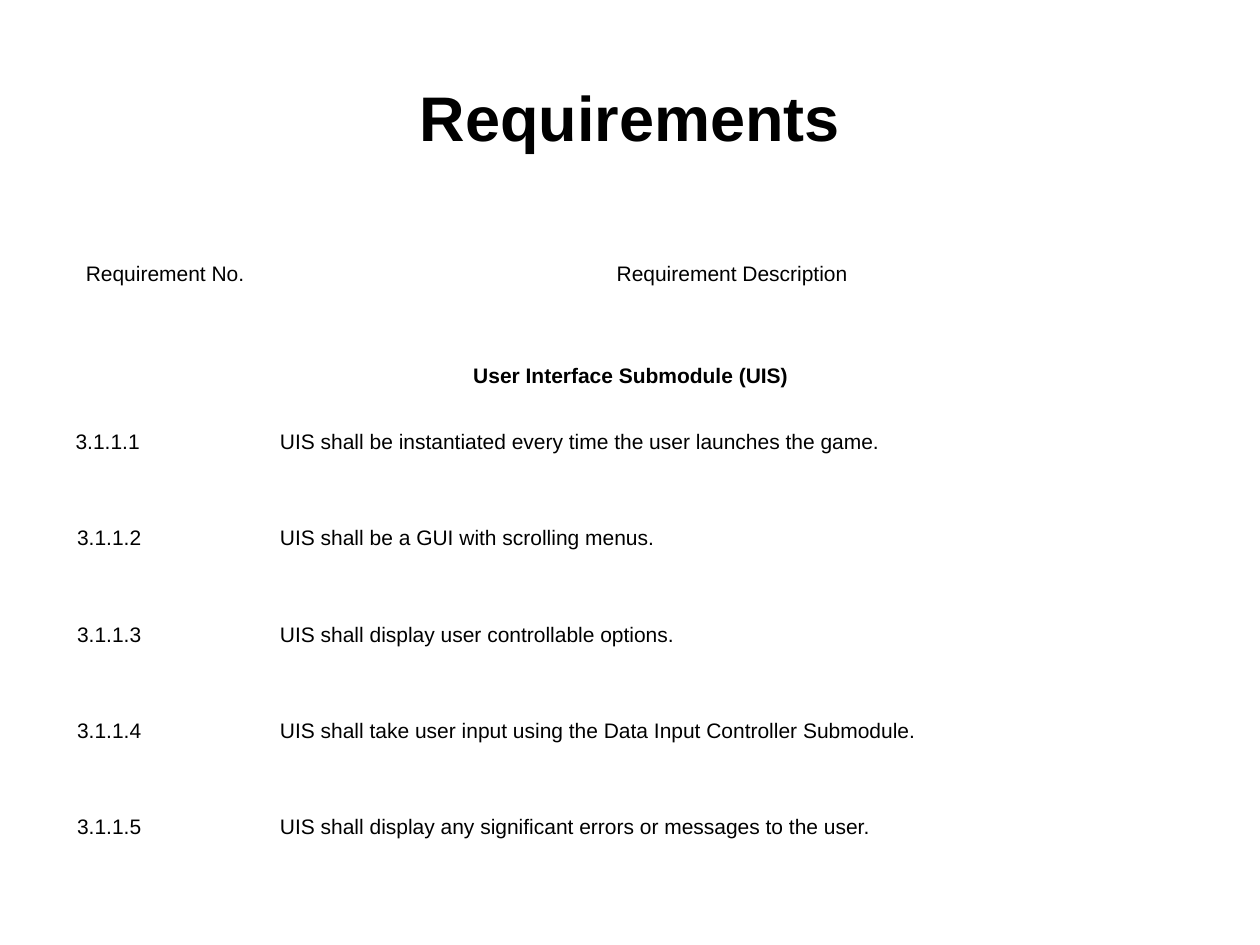
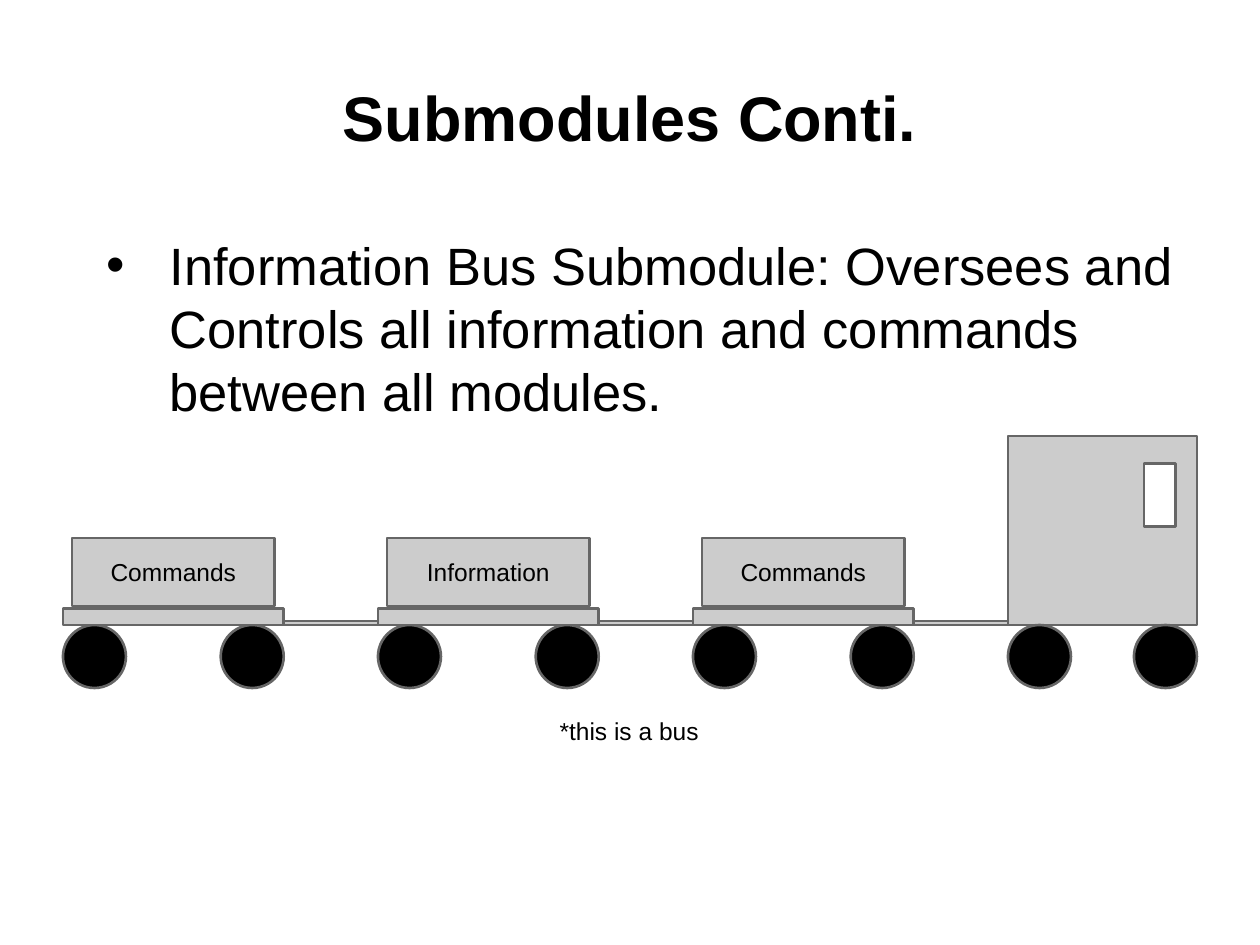
"""Build two slides: a requirements table and a bus drawn as a train of cars."""
import lxml.etree
import pptx
import pptx.dml.color
import pptx.enum.shapes
import pptx.enum.text
import pptx.oxml.ns
import pptx.util

Cm, Pt = pptx.util.Cm, pptx.util.Pt
ALIGN = pptx.enum.text.PP_ALIGN
ANCHOR = pptx.enum.text.MSO_ANCHOR
SHAPE = pptx.enum.shapes.MSO_SHAPE

REQUIREMENTS_TITLE = "Requirements"
HEADINGS = ("Requirement No.", "Requirement Description")
SECTION = "User Interface Submodule (UIS)"
REQUIREMENTS = [
    ("3.1.1.1", "UIS shall be instantiated every time the user launches the game."),
    ("3.1.1.2", "UIS shall be a GUI with scrolling menus."),
    ("3.1.1.3", "UIS shall display user controllable options."),
    ("3.1.1.4", "UIS shall take user input using the Data Input Controller Submodule."),
    ("3.1.1.5", "UIS shall display any significant errors or messages to the user."),
]
SUBMODULES_TITLE = "Submodules Conti."
DESCRIPTION = ("Information Bus Submodule: Oversees and Controls all information "
               "and commands between all modules.")
LOADS = ("Commands", "Information", "Commands")
CAPTION = "*this is a bus"

FONT = "Arial"
BLACK, WHITE, GREY, OUTLINE = "000000", "FFFFFF", "CCCCCC", "666666"
MARGIN, CONTENT_WIDTH = 1.27, 22.86
TITLE_AREA = (MARGIN, 0.76, CONTENT_WIDTH, 3.18)
BODY_AREA = (MARGIN, 4.45, CONTENT_WIDTH, 13.79)
COLUMN_WIDTHS = (4.09, 18.77)
HEADER_HEIGHT, ROW_HEIGHT = 2.16, 1.94

AXLE_TOP, WHEEL = 12.6, 1.27
CAR_PITCH, BED_WIDTH, BED_HEIGHT = 6.35, 4.45, 0.33
CRATE_TOP, CRATE_INSET, CRATE_HEIGHT = 10.85, 0.18, 1.37
CAB, COUPLING = 3.81, 0.08


def color(value):
    return pptx.dml.color.RGBColor.from_string(value)


def set_format(target, values):
    for name, value in values.items():
        setattr(target, name, value)


def write(holder, text, size, inset=0.25, bold=False, align=ALIGN.LEFT):
    frame = holder.text_frame
    frame.word_wrap = True
    margins = ("margin_left", "margin_top", "margin_right", "margin_bottom")
    set_format(frame, {name: Cm(inset) for name in margins})
    para = frame.paragraphs[0]
    para.alignment = align
    span = para.add_run()
    span.text = text
    set_format(span.font, {"name": FONT, "size": Pt(size), "bold": bold})
    span.font.color.rgb = color(BLACK)
    return para


def add_text(page, area, text, size, anchor=ANCHOR.MIDDLE, **style):
    box = page.shapes.add_textbox(*map(Cm, area))
    box.text_frame.vertical_anchor = anchor
    return write(box, text, size, **style)


def add_page(deck, title):
    page = deck.slides.add_slide(deck.slide_layouts[6])
    add_text(page, TITLE_AREA, title, 36, bold=True, align=ALIGN.CENTER)
    return page


def indent(para, left, first=0):
    properties = para._p.get_or_add_pPr()
    properties.set("marL", str(Cm(left)))
    properties.set("indent", str(Cm(first)))
    return properties


def add_bullet(para):
    properties = indent(para, 1.9, -1.27)
    for tag, name, value in (("a:buFont", "typeface", FONT), ("a:buChar", "char", "•")):
        bullet = lxml.etree.SubElement(properties, pptx.oxml.ns.qn(tag))
        bullet.set(name, value)


def add_part(parent, kind, area, fill=GREY, label=None):
    part = parent.shapes.add_shape(kind, *map(Cm, area))
    part.shadow.inherit = False
    part.fill.solid()
    part.fill.fore_color.rgb = color(fill)
    part.line.color.rgb = color(OUTLINE)
    part.line.width = Pt(1.5)
    if label:
        part.text_frame.vertical_anchor = ANCHOR.MIDDLE
        write(part, label, 14, align=ALIGN.CENTER)


def add_wheels(group, left, width):
    for wheel_left in (left, left + width - WHEEL):
        add_part(group, SHAPE.OVAL, (wheel_left, AXLE_TOP, WHEEL, WHEEL), BLACK)


def add_car(page, left, load):
    coupling_area = (left + BED_WIDTH, AXLE_TOP - COUPLING, CAR_PITCH - BED_WIDTH, COUPLING)
    add_part(page, SHAPE.RECTANGLE, coupling_area)
    car = page.shapes.add_group_shape()
    add_wheels(car, left, BED_WIDTH)
    add_part(car, SHAPE.RECTANGLE, (left, AXLE_TOP - BED_HEIGHT, BED_WIDTH, BED_HEIGHT))
    crate_area = (left + CRATE_INSET, CRATE_TOP, BED_WIDTH - 2 * CRATE_INSET, CRATE_HEIGHT)
    add_part(car, SHAPE.RECTANGLE, crate_area, label=load)


def add_cab(page, left):
    cab = page.shapes.add_group_shape()
    top = AXLE_TOP - CAB
    add_part(cab, SHAPE.RECTANGLE, (left, top, CAB, CAB))
    add_wheels(cab, left, CAB)
    add_part(cab, SHAPE.RECTANGLE, (left + 2.74, top + 0.56, 0.64, 1.27), WHITE)


def build_requirements(deck):
    page = add_page(deck, REQUIREMENTS_TITLE)
    rows = [HEADINGS, (SECTION,), *REQUIREMENTS]
    table = page.shapes.add_table(len(rows), len(HEADINGS), *map(Cm, BODY_AREA)).table
    set_format(table, {"first_row": False, "horz_banding": False})
    for column, width in zip(table.columns, COLUMN_WIDTHS):
        column.width = Cm(width)
    for number, row in enumerate(table.rows):
        row.height = Cm(ROW_HEIGHT if number else HEADER_HEIGHT)
        for cell in row.cells:
            cell.fill.background()
    table.cell(1, 0).merge(table.cell(1, 1))
    for number, texts in enumerate(rows):
        heading = number < 2
        for column, text in enumerate(texts):
            cell = table.cell(number, column)
            cell.vertical_anchor = ANCHOR.MIDDLE if heading else ANCHOR.TOP
            para = write(cell, text, 12, inset=0.18, bold=text == SECTION,
                         align=ALIGN.CENTER if heading else ALIGN.LEFT)
            if text != REQUIREMENTS[0][0]:
                indent(para, 0.03)


def build_submodules(deck):
    page = add_page(deck, SUBMODULES_TITLE)
    para = add_text(page, BODY_AREA, DESCRIPTION, 30, anchor=ANCHOR.TOP)
    para.line_spacing = Pt(36)
    add_bullet(para)
    add_text(page, (11.02, 14.17, 3.33, 1.12), CAPTION, 14, align=ALIGN.CENTER)
    for number, load in enumerate(LOADS):
        add_car(page, MARGIN + number * CAR_PITCH, load)
    add_cab(page, MARGIN + len(LOADS) * CAR_PITCH)


def main():
    deck = pptx.Presentation()
    set_format(deck, {"slide_width": Cm(25.4), "slide_height": Cm(19.05)})
    build_requirements(deck)
    build_submodules(deck)
    deck.save("out.pptx")


if __name__ == "__main__":
    main()
